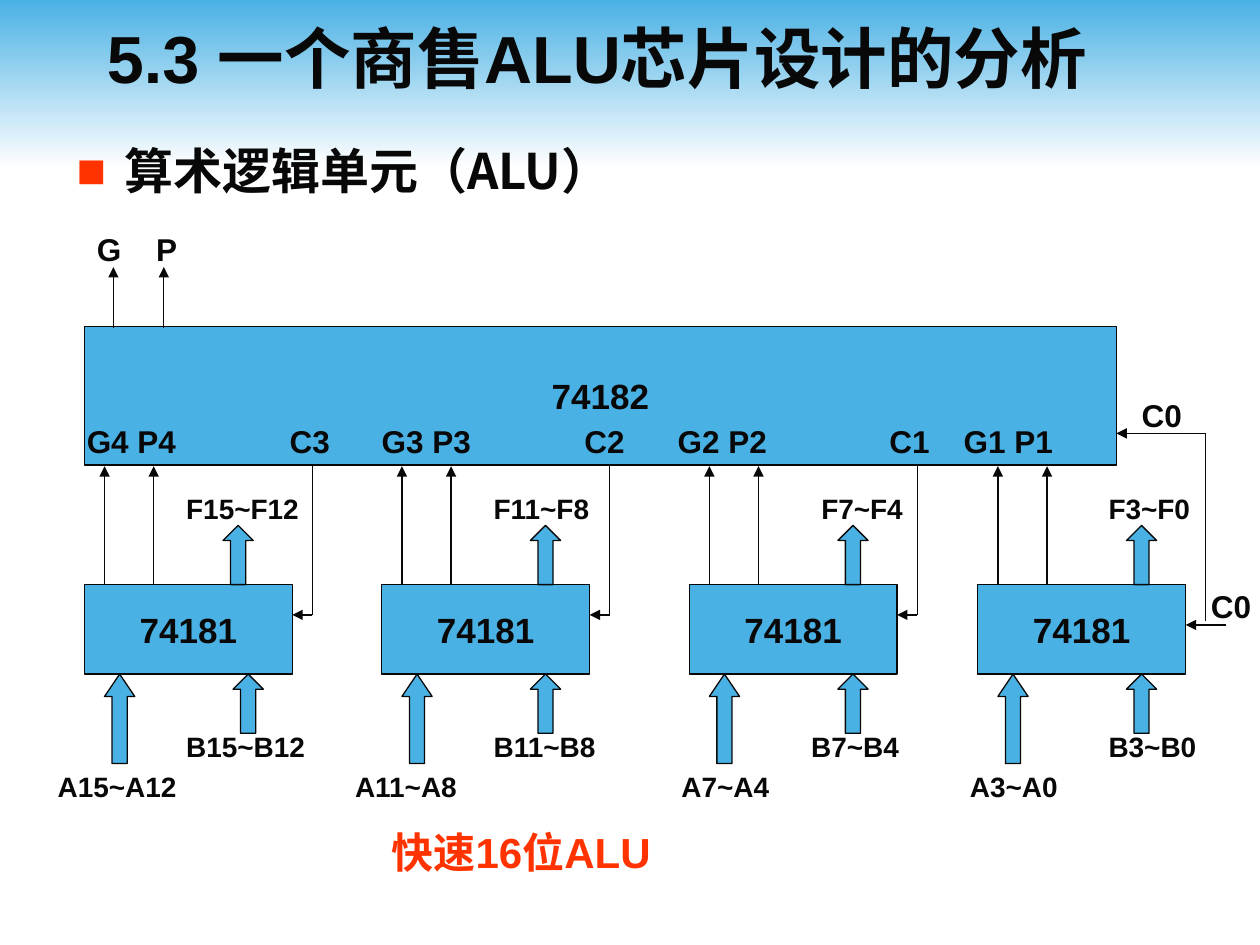
"""Builds a slide on a fast 16-bit ALU made of 74181 chips and a 74182 carry unit."""
from lxml import etree
from pptx import Presentation
from pptx import util as u
from pptx.dml.color import RGBColor
from pptx.enum import shapes, text
from pptx.oxml import ns

COLORS = {"ink": "080808", "block": "4AB1E4", "accent": "FF3300", "paper": "FFFFFF"}
CJK_FONT = "Noto Sans CJK JP"
LINE_WIDTH = u.Pt(0.75)

CHIPS = [
    {"left": 0.67, "F": ("F15~F12", 1.38), "A": ("A15~A12", 0.36), "B": ("B15~B12", 1.38), "f_offset": 1.1},
    {"left": 3.03, "F": ("F11~F8", 3.82), "A": ("A11~A8", 2.72), "B": ("B11~B8", 3.82), "f_offset": 1.18},
    {"left": 5.47, "F": ("F7~F4", 6.42), "A": ("A7~A4", 5.31), "B": ("B7~B4", 6.34), "f_offset": 1.18},
    {"left": 7.76, "F": ("F3~F0", 8.7), "A": ("A3~A0", 7.6), "B": ("B3~B0", 8.7), "f_offset": 1.18},
]
LABEL_TOPS = {"F": 3.85, "B": 5.74, "A": 6.06}
CHIP_TOP, CHIP_WIDTH, CHIP_HEIGHT = 4.64, 1.65, 0.71
CHIP_BOTTOM = CHIP_TOP + CHIP_HEIGHT
UNIT_TOP, UNIT_BOTTOM = 2.6, 3.7


def rgb(name):
    """Return the named colour."""
    return RGBColor.from_string(COLORS[name])


def add_child(parent, tag, **attributes):
    """Append a drawing element with the given attributes."""
    return etree.SubElement(parent, ns.qn(tag), **attributes)


def write(shape, wording, size, color="ink", font="Arial", **frame_format):
    """Write one bold paragraph in a shape and return it."""
    frame = shape.text_frame
    frame_values = {"word_wrap": True, "vertical_anchor": text.MSO_ANCHOR.TOP, **frame_format}
    for name, value in frame_values.items():
        setattr(frame, name, value)
    paragraph = frame.paragraphs[0]
    run = paragraph.add_run()
    run.text = wording
    for name, value in {"name": font, "size": u.Pt(size), "bold": True}.items():
        setattr(run.font, name, value)
    run.font.color.rgb = rgb(color)
    add_child(run.font._element, "a:ea", typeface=CJK_FONT)
    return paragraph


def add_label(slide, box, wording, size, **options):
    """Add a text box and return its paragraph."""
    label = slide.shapes.add_textbox(*map(u.Inches, box))
    return write(label, wording, size, **options)


def add_block(slide, kind, box):
    """Add an outlined block or block arrow."""
    block = slide.shapes.add_shape(kind, *map(u.Inches, box))
    block.shadow.inherit = False
    block.fill.solid()
    block.fill.fore_color.rgb = rgb("block")
    block.line.color.rgb = rgb("ink")
    block.line.width = LINE_WIDTH
    return block


def add_chip(slide, box, name):
    """Add a rectangle that carries a chip number."""
    chip = add_block(slide, shapes.MSO_SHAPE.RECTANGLE, box)
    paragraph = write(chip, name, 20, vertical_anchor=text.MSO_ANCHOR.MIDDLE)
    paragraph.alignment = text.PP_ALIGN.CENTER


def add_bus(slide, left, top, height):
    """Add an upward block arrow for a four-bit bus."""
    bus = add_block(slide, shapes.MSO_SHAPE.UP_ARROW, (left, top, 0.24, height))
    bus.adjustments[0] = 0.5
    bus.adjustments[1] = 0.74 if height > 0.5 else 0.5


def add_wire(slide, start, end, arrow=True):
    """Add a straight signal wire, with an arrowhead at its end if wanted."""
    wire = slide.shapes.add_connector(shapes.MSO_CONNECTOR.STRAIGHT, *map(u.Inches, start + end))
    wire.line.color.rgb = rgb("ink")
    wire.line.width = LINE_WIDTH
    if arrow:
        add_child(wire.line._get_or_add_ln(), "a:tailEnd", type="triangle")
    add_child(wire._element.spPr, "a:effectLst")


def set_tabs(paragraph, stops):
    """Set left tab stops, in inches, on a paragraph."""
    tab_list = add_child(paragraph._p.get_or_add_pPr(), "a:tabLst")
    for stop in stops:
        add_child(tab_list, "a:tab", pos=str(u.Inches(stop)), algn="l")


def add_bullet(paragraph, indent):
    """Give a paragraph a square bullet with a hanging indent."""
    properties = paragraph._p.get_or_add_pPr()
    properties.set("marL", str(u.Inches(indent)))
    properties.set("indent", str(-u.Inches(indent)))
    add_child(add_child(properties, "a:buClr"), "a:srgbClr", val=COLORS["accent"])
    add_child(properties, "a:buFont", typeface="Arial")
    add_child(properties, "a:buChar", char="■")


def add_header(slide):
    """Add the gradient band, the title and the topic line."""
    band = slide.shapes.add_shape(shapes.MSO_SHAPE.RECTANGLE, 0, 0, u.Inches(10), u.Inches(1.33))
    band.shadow.inherit = False
    band.line.fill.background()
    band.fill.gradient()
    band.fill.gradient_angle = 270
    for stop, name in zip(band.fill.gradient_stops, ("block", "paper")):
        stop.color.rgb = rgb(name)
    add_label(slide, (0.75, 0, 8.5, 0.91), "5.3 一个商售ALU芯片设计的分析", 38,
              vertical_anchor=text.MSO_ANCHOR.MIDDLE)
    topic = add_label(slide, (0.51, 1.07, 8.82, 0.7), "算术逻辑单元（ALU）", 28, font=CJK_FONT)
    add_bullet(topic, 0.38)


def add_carry_unit(slide):
    """Add the 74182 with its pin names and group outputs."""
    add_chip(slide, (0.67, 2.59, 8.19, 1.1), "74182")
    pins = add_label(slide, (0.59, 3.3, 8.11, 0.4), "G4 P4\tC3\tG3 P3\tC2\tG2 P2\tC1\tG1 P1", 18)
    set_tabs(pins, (1.61, 2.34, 3.95, 4.69, 6.37, 6.96))
    outputs = add_label(slide, (0.67, 1.78, 1.02, 0.4), "G\tP", 18)
    set_tabs(outputs, (0.47,))
    for x in (0.9, 1.3):
        add_wire(slide, (x, UNIT_TOP), (x, 2.12))


def add_slice(slide, chip):
    """Add one 74181 with its buses, bus names and G and P wires."""
    left = chip["left"]
    add_chip(slide, (left, CHIP_TOP, CHIP_WIDTH, CHIP_HEIGHT), "74181")
    add_bus(slide, left + 0.16, CHIP_BOTTOM, 0.71)
    add_bus(slide, left + 1.18, CHIP_BOTTOM, 0.47)
    add_bus(slide, left + chip["f_offset"], CHIP_TOP - 0.47, 0.47)
    for bus, top in LABEL_TOPS.items():
        name, label_left = chip[bus]
        add_label(slide, (label_left, top, 1.26, 0.37), name, 16)
    for offset in (0.16, 0.55):
        add_wire(slide, (left + offset, CHIP_TOP), (left + offset, UNIT_BOTTOM))


def add_carry_in(slide, left):
    """Add the wire that takes a carry from the 74182 to a chip."""
    x, y = left + 1.81, 4.88
    add_wire(slide, (x, y), (left + CHIP_WIDTH, y))
    add_wire(slide, (x, y), (x, UNIT_BOTTOM), arrow=False)


def add_first_carry(slide):
    """Add the C0 input shared by the lowest chip and the 74182."""
    add_wire(slide, (9.73, 4.96), (9.41, 4.96))
    add_wire(slide, (9.57, 3.44), (8.86, 3.44))
    add_wire(slide, (9.57, 4.93), (9.57, 3.44), arrow=False)
    no_margins = dict.fromkeys(("margin_left", "margin_top", "margin_right", "margin_bottom"), 0)
    for left, top in ((9.61, 4.66), (9.06, 3.14)):
        add_label(slide, (left, top, 0.35, 0.3), "C0", 18, **no_margins)


def main():
    """Build and save the slide."""
    deck = Presentation()
    deck.slide_width, deck.slide_height = u.Inches(10), u.Inches(7.5)
    slide = deck.slides.add_slide(deck.slide_layouts[6])
    add_header(slide)
    add_label(slide, (3.01, 6.51, 3.25, 0.5), "快速16位ALU", 24, color="accent")
    add_carry_unit(slide)
    for chip in CHIPS:
        add_slice(slide, chip)
    for chip in CHIPS[:-1]:
        add_carry_in(slide, chip["left"])
    add_first_carry(slide)
    deck.save("out.pptx")


if __name__ == "__main__":
    main()
